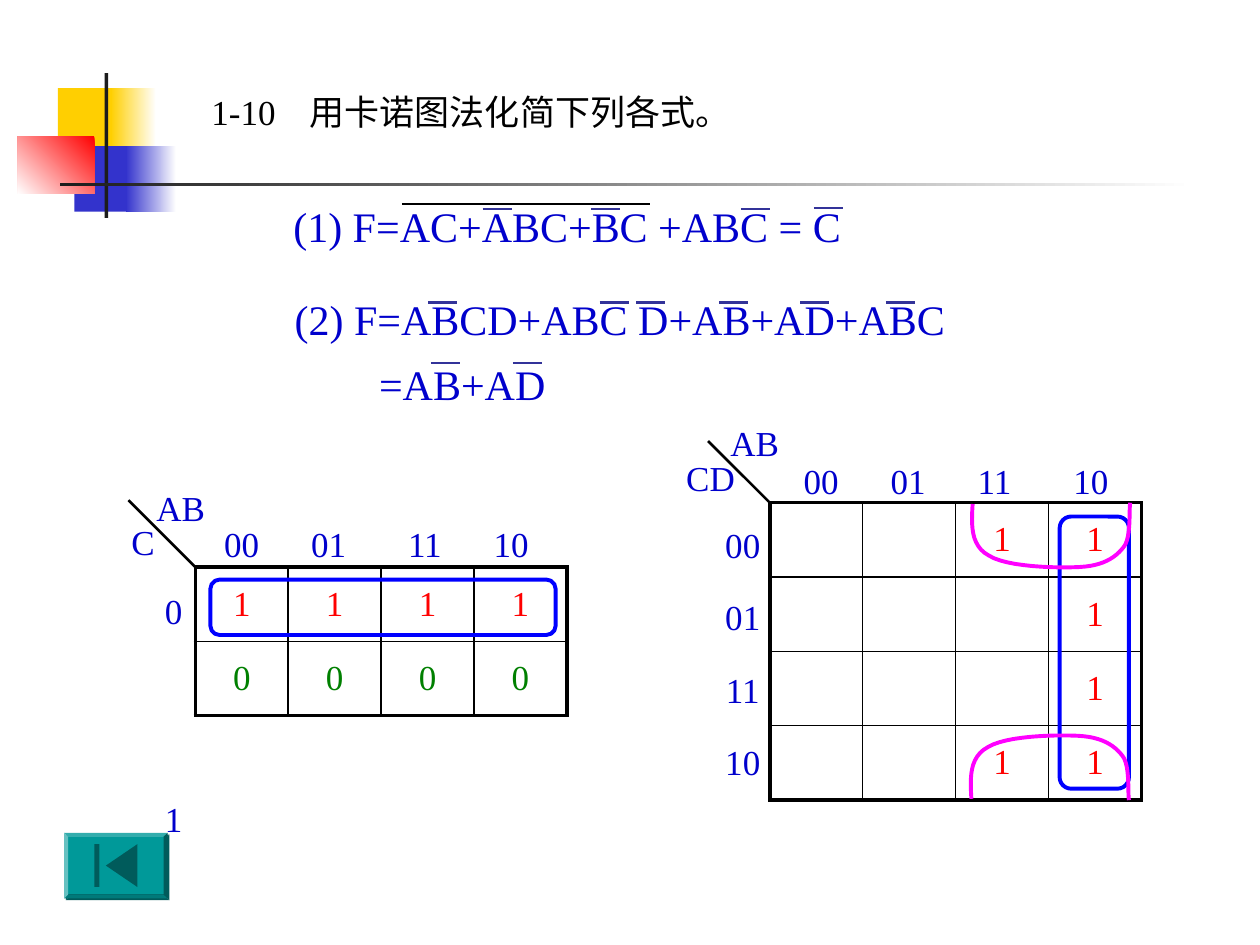
from lxml.etree import SubElement
from pptx import Presentation
from pptx.dml.color import RGBColor
from pptx.enum.shapes import MSO_CONNECTOR, MSO_SHAPE
from pptx.enum.text import MSO_ANCHOR, PP_ALIGN
from pptx.oxml.ns import qn
from pptx.util import Inches, Pt

BLUE, BLACK, RED, GREEN = "0000CC", "000000", "FF0000", "008000"


def rgb(color):
    return RGBColor.from_string(color)


def write(p, text, size=20, color=BLUE, align=None, tabs=(), indent=0, spacing=None, before=0):
    pPr = p._p.get_or_add_pPr()
    if indent:
        pPr.set("marL", str(Inches(indent)))
    if tabs:
        tab_list = SubElement(pPr, qn("a:tabLst"))
        for pos in tabs:
            SubElement(tab_list, qn("a:tab"), pos=str(Inches(pos)), algn="l")
    r = p.add_run()
    r.text = text
    r.font.name, r.font.size = "Times New Roman", Pt(size)
    r.font.color.rgb = rgb(color)
    if align:
        p.alignment = align
    if spacing:
        p.line_spacing = spacing
    if before:
        p.space_before = Pt(before)


def add_text(s, x, y, w, h, text, **fmt):
    tf = s.shapes.add_textbox(Inches(x), Inches(y), Inches(w), Inches(h)).text_frame
    tf.word_wrap = True
    write(tf.paragraphs[0], text, **fmt)
    return tf


def add_line(s, x1, y1, x2, y2, color=BLACK, width=1.5):
    line = s.shapes.add_connector(MSO_CONNECTOR.STRAIGHT, Inches(x1), Inches(y1), Inches(x2), Inches(y2))
    line.line.color.rgb = rgb(color)
    line.line.width = Pt(width)
    SubElement(line._element.spPr, qn("a:effectLst"))


def style(sp, fill=None, line=None):
    sp.shadow.inherit = False
    if fill:
        sp.fill.solid()
        sp.fill.fore_color.rgb = rgb(fill)
    else:
        sp.fill.background()
    if line:
        sp.line.color.rgb = rgb(line)
        sp.line.width = Pt(2.25)
    else:
        sp.line.fill.background()


def add_box(s, x, y, w, h, kind=MSO_SHAPE.RECTANGLE, **fmt):
    sp = s.shapes.add_shape(kind, Inches(x), Inches(y), Inches(w), Inches(h))
    style(sp, **fmt)
    return sp


def add_path(s, points, close=False, **fmt):
    builder = s.shapes.build_freeform(Inches(points[0][0]), Inches(points[0][1]))
    builder.add_line_segments([(Inches(x), Inches(y)) for x, y in points[1:]], close=close)
    style(builder.convert_to_shape(), **fmt)


def add_fade(s, x, y, w, h, start, end, angle=180):
    sp = add_box(s, x, y, w, h)
    sp.fill.gradient()
    sp.fill.gradient_angle = angle
    for stop, color in zip(sp.fill.gradient_stops, (start, end)):
        stop.color.rgb = rgb(color)


def ornament(s, x, y):
    for dx, dy, w, fade_dx, fade_w, color in (
        (0.32, 0.12, 0.48, 0.74, 0.36, "FFCF01"),
        (0.45, 0.58, 0.46, 0.86, 0.4, "3333CC"),
    ):
        add_box(s, x + dx, y + dy, w, 0.52, fill=color)
        add_fade(s, x + fade_dx, y + dy, fade_w, 0.52, "FFFFFF", color)
    add_fade(s, x, y + 0.5, 0.61, 0.46, RED, "FFFFFF", 225)
    add_box(s, x + 0.69, y, 0.03, 1.15, fill="1C1C1C")
    add_fade(s, x + 0.34, y + 0.87, 9, 0.03, "FFFFFF", "1C1C1C")


def formula(s, x, y, w, h, text, bars):
    tf = add_text(s, x, y, w, h, text, size=24)
    for dy, starts in bars.items():
        for dx in starts:
            add_line(s, x + dx, y + dy, x + dx + 0.23, y + dy, "333399")
    return tf


def set_borders(cell, widths):
    tcPr = cell._tc.get_or_add_tcPr()
    for side, width in zip("LRTB", widths):
        ln = SubElement(tcPr, qn(f"a:ln{side}"), w=str(Pt(width)))
        SubElement(SubElement(ln, qn("a:solidFill")), qn("a:srgbClr"), val=BLACK)


def karnaugh_grid(s, x, y, w, h, values):
    rows, cols = len(values), len(values[0])
    table = s.shapes.add_table(rows, cols, Inches(x), Inches(y), Inches(w), Inches(h)).table
    table.first_row = table.horz_banding = False
    for col in table.columns:
        col.width = Inches(w / cols)
    for row in table.rows:
        row.height = Inches(h / rows)
    for i, row in enumerate(values):
        for j, value in enumerate(row):
            cell = table.cell(i, j)
            edges = (j == 0, j == cols - 1, i == 0, i == rows - 1)
            set_borders(cell, [2.25 if edge else 1 for edge in edges])
            cell.fill.background()
            cell.vertical_anchor = MSO_ANCHOR.MIDDLE
            if value.strip():
                write(cell.text_frame.paragraphs[0], value, align=PP_ALIGN.CENTER,
                      color=RED if value == "1" else GREEN)


def bezier(points, steps=12):
    curve = [points[0]]
    for k in range(0, len(points) - 1, 3):
        for n in range(1, steps + 1):
            t = n / steps
            weights = ((1 - t) ** 3, 3 * t * (1 - t) ** 2, 3 * t * t * (1 - t), t ** 3)
            curve.append(tuple(sum(c * pt[axis] for c, pt in zip(weights, points[k:k + 4]))
                               for axis in (0, 1)))
    return curve


def three_variable_map(s, x, y, w, h):
    karnaugh_grid(s, x, y, w, h, ["1111", "0000"])
    add_line(s, x, y, x - 0.53, y - 0.53)
    add_text(s, x - 0.48, y - 0.69, 0.73, 0.44, "AB", align=PP_ALIGN.CENTER)
    add_text(s, x - 0.66, y - 0.42, 0.49, 0.44, "C", align=PP_ALIGN.CENTER)
    add_text(s, x + 0.13, y - 0.4, 2.92, 0.44, "00\t01\t11\t10", tabs=(0.69, 1.46, 2.14))
    tf = add_text(s, x - 0.34, y + 0.1, 0.38, 2.11, "0", spacing=1.1)
    write(tf.add_paragraph(), "1", spacing=1.1, before=92)
    add_box(s, x + 0.12, y + 0.1, 2.74, 0.44, MSO_SHAPE.ROUNDED_RECTANGLE, line="0000FF")


def four_variable_map(s, x, y, w, h):
    karnaugh_grid(s, x, y, w, h, ["  11", "   1", "   1", "  11"])
    add_line(s, x, y, x - 0.49, y - 0.49)
    add_text(s, x - 0.45, y - 0.69, 0.66, 0.44, "AB", align=PP_ALIGN.CENTER)
    add_text(s, x - 0.8, y - 0.42, 0.66, 0.44, "CD", align=PP_ALIGN.CENTER)
    add_text(s, x + 0.17, y - 0.39, 2.79, 0.44, "00\t01\t11\t10", tabs=(0.69, 1.38, 2.14))
    label = dict(align=PP_ALIGN.CENTER, spacing=1.2)
    tf = add_text(s, x - 0.49, y + 0.05, 0.55, 2.22, "00", **label)
    for text in ("01", "11", "10"):
        write(tf.add_paragraph(), text, before=12.5, **label)
    add_box(s, x + 2.3, y + 0.11, 0.55, 2.16, MSO_SHAPE.ROUNDED_RECTANGLE, line="0000FF")
    loop = bezier([(1.61, 0.01), (1.6, 0.17), (1.59, 0.34), (1.74, 0.42), (1.88, 0.51),
                   (2.28, 0.52), (2.46, 0.51), (2.64, 0.5), (2.74, 0.44), (2.81, 0.35),
                   (2.87, 0.27), (2.85, 0.05), (2.86, 0)])
    add_path(s, [(x + dx, y + dy) for dx, dy in loop], line="FF00FF")
    add_path(s, [(x + dx - 0.01, y + h - dy) for dx, dy in loop], line="FF00FF")


def back_button(s, x, y, w, h):
    sp = add_box(s, x, y, w, h, MSO_SHAPE.BEVEL, fill="009999")
    sp.adjustments[0] = 0.06
    effects = sp._element.spPr.find(qn("a:effectLst"))
    shadow = SubElement(effects, qn("a:outerShdw"), dist=str(Pt(1.4)), dir="2700000")
    SubElement(shadow, qn("a:srgbClr"), val="005B5B")
    mid = y + h / 2
    add_box(s, x + 0.24, mid - 0.17, 0.04, 0.34, fill="005B5B")
    add_path(s, [(x + 0.33, mid), (x + 0.58, mid - 0.17), (x + 0.58, mid + 0.17)],
             close=True, fill="005B5B")


def main():
    prs = Presentation()
    prs.slide_width, prs.slide_height = Inches(10), Inches(7.5)
    s = prs.slides.add_slide(prs.slide_layouts[6])
    ornament(s, 0.14, 0.58)
    add_text(s, 1.58, 0.67, 8.17, 0.44, "1-10\t用卡诺图法化简下列各式。", color=BLACK, tabs=(0.78,))
    tf = formula(s, 2.24, 2.28, 6.04, 1.02, "(2) F=ABCD+ABC D+AB+AD+ABC",
                 {0.12: (1.16, 2.52, 2.81, 3.47, 4.11, 4.79), 0.6: (1.18, 1.83)})
    write(tf.add_paragraph(), "=AB+AD", size=24, indent=0.67, spacing=1.3)
    formula(s, 2.23, 1.54, 4.96, 0.5, "(1) F=AC+ABC+BC +ABC = C",
            {0.11: (4.23,), 0.12: (1.6, 2.46, 3.65)})
    add_line(s, 3.19, 1.62, 5.16, 1.62)
    four_variable_map(s, 6.11, 3.99, 2.95, 2.36)
    three_variable_map(s, 1.55, 4.5, 2.95, 1.18)
    back_button(s, 0.51, 6.61, 0.82, 0.52)
    prs.save("out.pptx")


if __name__ == "__main__":
    main()
